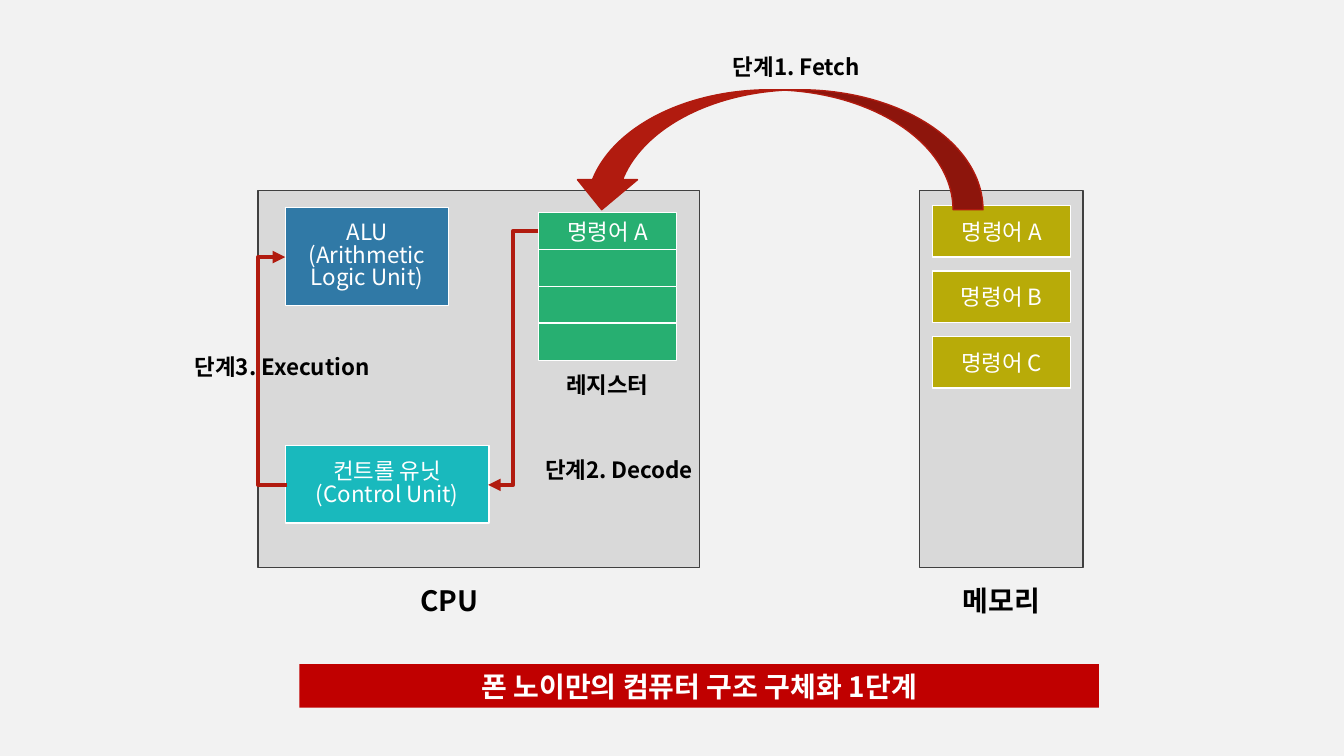
"""Builds the fetch, decode and execution slide of a von Neumann computer."""
from lxml import etree
from pptx import Presentation
from pptx.dml.color import RGBColor
from pptx.enum.shapes import MSO_CONNECTOR, MSO_SHAPE
from pptx.enum.text import MSO_ANCHOR, PP_ALIGN
from pptx.oxml.ns import qn
from pptx.util import Inches, Pt

RECTANGLE = MSO_SHAPE.RECTANGLE
CURVED_ARROW = MSO_SHAPE.CURVED_DOWN_ARROW
ELBOW = MSO_CONNECTOR.ELBOW
MIDDLE = MSO_ANCHOR.MIDDLE
CENTER = PP_ALIGN.CENTER

FONT = "Noto Sans CJK KR"
CELL = 0.1
COLORS = {
    "page": "F2F2F2", "panel": "D9D9D9", "edge": "404040", "white": "FFFFFF",
    "black": "000000", "memory": "B8AB08", "register": "27AF71",
    "control": "19B9BD", "alu": "3079A6", "arrow": "B11B0F", "banner": "C00000",
}


def color(name):
    """Return the named colour."""
    return RGBColor.from_string(COLORS[name])


def cells(*counts):
    """Turn counts of grid columns or rows into lengths."""
    return [Inches(count * CELL) for count in counts]


class Diagram:
    """Holds the style and the current slide."""

    def __init__(self, deck):
        """Add a blank page with the background colour."""
        self.page = deck.slides.add_slide(deck.slide_layouts[6])
        background = self.page.background.fill
        background.solid()
        background.fore_color.rgb = color("page")

    def caption(self, shape, text, size, ink, bold, spacing=None):
        """Centre the lines of text in a shape."""
        frame = shape.text_frame
        frame.word_wrap = True
        frame.vertical_anchor = MIDDLE
        for index, line in enumerate(text.split("\n")):
            para = frame.add_paragraph() if index else frame.paragraphs[0]
            para.alignment = CENTER
            para.line_spacing = spacing
            span = para.add_run()
            span.text = line
            span.font.color.rgb = color(ink)
            for name, value in {"name": FONT, "size": Pt(size), "bold": bold}.items():
                setattr(span.font, name, value)
            east_asian = etree.SubElement(span.font._element, qn("a:ea"))
            east_asian.set("typeface", FONT)

    def shape(self, place, fill, edge=None, kind=RECTANGLE):
        """Draw a filled shape with an optional outline."""
        shape = self.page.shapes.add_shape(kind, *cells(*place))
        shape.shadow.inherit = False
        shape.fill.solid()
        shape.fill.fore_color.rgb = color(fill)
        if edge:
            shape.line.color.rgb = color(edge)
            shape.line.width = Pt(1)
        else:
            shape.line.fill.background()
        return shape

    def block(self, place, fill, text="", spacing=None):
        """Draw a white-edged block with white text."""
        box = self.shape(place, fill, "white")
        if text:
            self.caption(box, text, 16, "white", False, spacing)

    def label(self, left, top, text, size=16, width=24.4):
        """Place a bold black label."""
        box = self.page.shapes.add_textbox(*cells(left, top, width, 4.3))
        self.caption(box, text, size, "black", True)

    def swoop(self, place):
        """Draw a curved arrow that points left."""
        arrow = self.shape(place, "arrow", "arrow", CURVED_ARROW)
        arrow.element.spPr.xfrm.set("flipH", "1")

    def elbow(self, start, end, bend):
        """Draw an elbow arrow whose upright stands at column bend."""
        link = self.page.shapes.add_connector(ELBOW, *cells(*end, *start))
        link.line.color.rgb = color("arrow")
        link.line.width = Pt(3)
        properties = link.element.spPr
        properties.xfrm.set("rot", "10800000")
        share = (start[0] - bend) / (start[0] - end[0])
        guides = properties.find(qn("a:prstGeom")).get_or_add_avLst()
        guide = etree.SubElement(guides, qn("a:gd"))
        guide.set("name", "adj1")
        guide.set("fmla", f"val {round(share * 100000)}")
        tail = etree.SubElement(properties.find(qn("a:ln")), qn("a:tailEnd"))
        tail.set("type", "triangle")
        etree.SubElement(properties, qn("a:effectLst"))

    def banner(self, place, text):
        """Draw the title bar."""
        self.caption(self.shape(place, "banner"), text, 20, "white", True)


deck = Presentation()
deck.slide_width, deck.slide_height = Inches(13.33), Inches(7.5)
diagram = Diagram(deck)

for name, left, width, label_left in (("CPU", 25.6, 43.8, 32.4), ("메모리", 91.2, 16.2, 87.1)):
    diagram.label(label_left, 57.4, name, size=20)
    diagram.shape((left, 18.9, width, 37.4), "panel", "edge")

for index, letter in enumerate("ABC"):
    diagram.block((92.5, 20.4 + 6.5 * index, 13.7, 5.1), "memory", f"명령어 {letter}")

diagram.swoop((56.7, 8.9, 40.8, 11.9))
diagram.label(66.8, 4.5, "단계1. Fetch")

for index, text in enumerate(("명령어 A", "", "", "")):
    diagram.block((53.4, 21.1 + 3.65 * index, 13.7, 3.7), "register", text)
diagram.label(52, 36, "레지스터", width=16.5)

diagram.block((28.3, 44.2, 20.2, 7.7), "control", "컨트롤 유닛\n(Control Unit)", 0.83)
diagram.block((28.3, 20.6, 16.2, 9.7), "alu", "ALU (Arithmetic Logic Unit)", 0.83)

diagram.label(49.2, 44.4, "단계2. Decode")
diagram.elbow((53.4, 22.9), (48.4, 48.1), 50.9)
diagram.elbow((28.5, 48.1), (28.3, 25.5), 25.6)
diagram.label(15.8, 34.2, "단계3. Execution")

diagram.banner((29.7, 65.9, 79.3, 4.3), "폰 노이만의 컴퓨터 구조 구체화 1단계")
deck.save("out.pptx")
